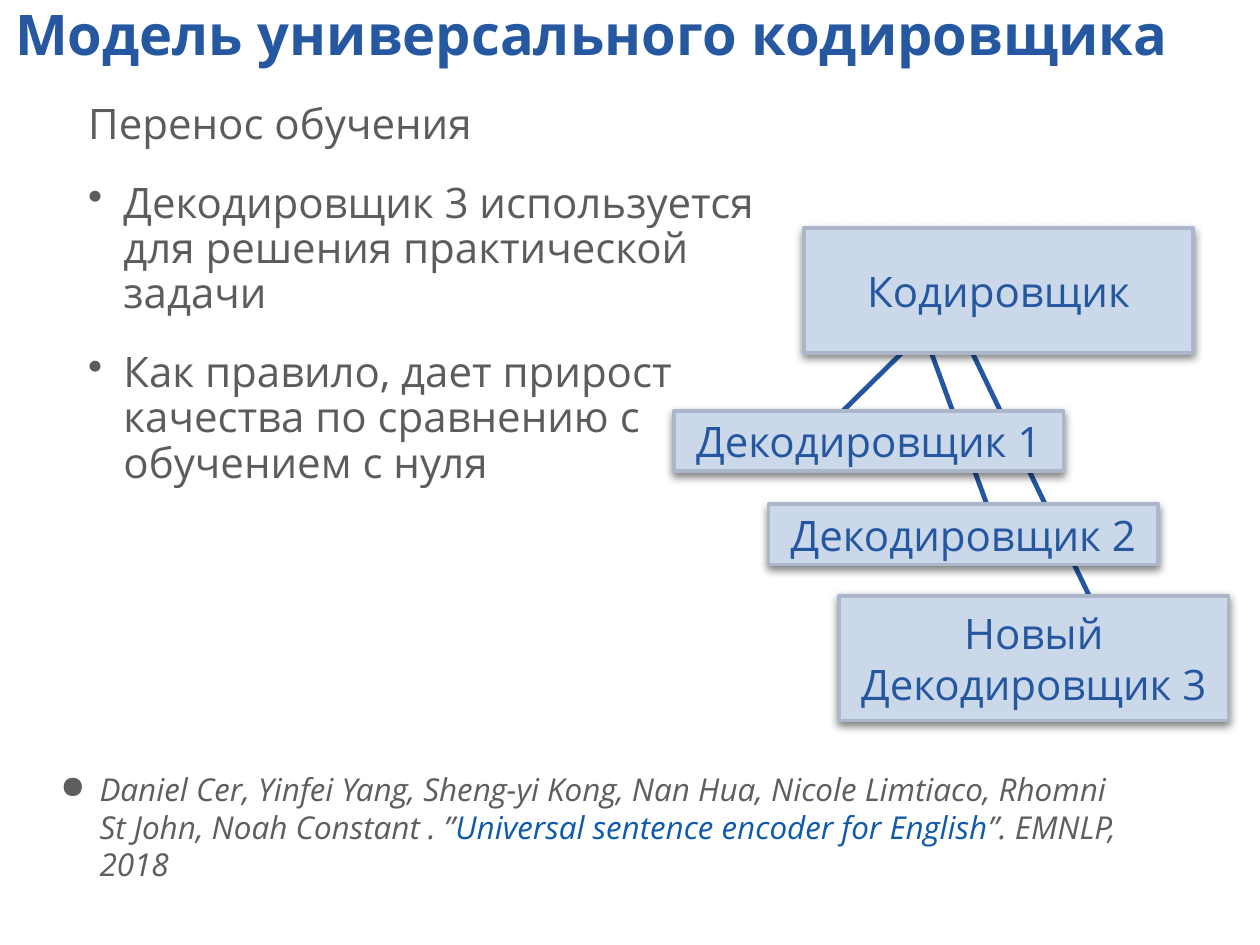
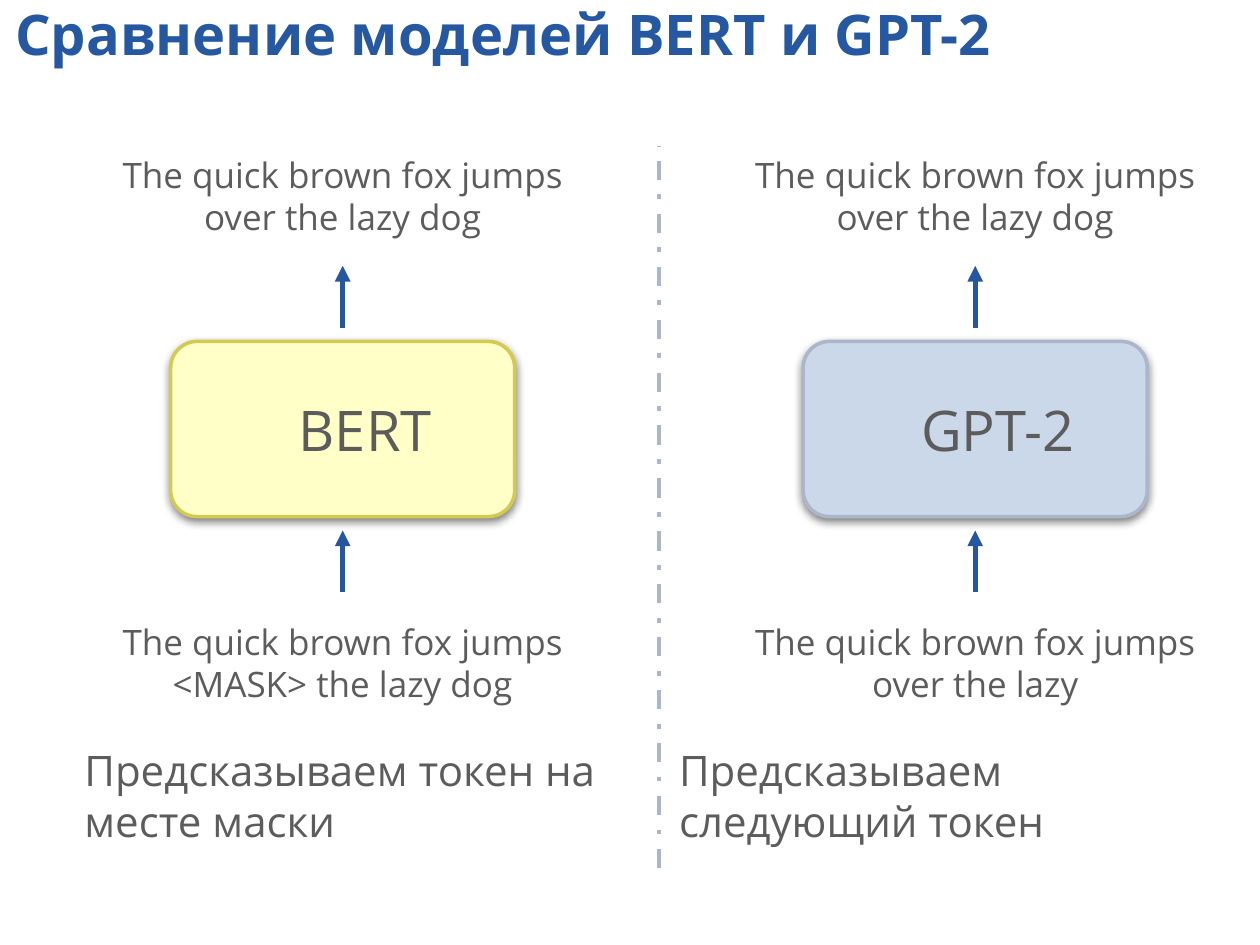
from lxml.etree import SubElement
from pptx import Presentation
from pptx.dml.color import RGBColor
from pptx.enum.dml import MSO_LINE_DASH_STYLE as DASH
from pptx.enum.shapes import MSO_CONNECTOR as CONNECTOR, MSO_SHAPE as SHAPE
from pptx.enum.text import MSO_ANCHOR as ANCHOR, PP_ALIGN as ALIGN
from pptx.oxml.ns import qn
from pptx.util import Inches, Pt

FONT = "Open Sans"
TITLE_BLUE, BLUE, LINK = "2558A1", "2557A1", "0F5AAA"
GREY, CITATION_GREY = "5C5C5C", "5E5E5E"
PALE_BLUE, BLUE_EDGE = "CBD8E9", "ABB6CA"
PALE_YELLOW, YELLOW_EDGE = "FFFFC7", "D2CB4F"

ENCODER_TITLE = "Модель универсального кодировщика"
TRANSFER_HEADING = "Перенос обучения"
TRANSFER_POINTS = [
    "Декодировщик 3 используется для решения практической задачи",
    "Как правило, дает прирост качества по сравнению с обучением с нуля",
]
CITATION = [
    ("Daniel Cer, Yinfei Yang, Sheng-yi Kong, Nan Hua, Nicole Limtiaco, "
     "Rhomni St John, Noah Constant . ”", CITATION_GREY),
    ("Universal sentence encoder for English", LINK),
    ("”. EMNLP, 2018", CITATION_GREY),
]
BLOCK_WIDTH = 3.09
BLOCKS = [
    ("Кодировщик", 6.38, 1.81, 0.99),
    ("Декодировщик 1", 5.35, 3.26, 0.48),
    ("Декодировщик 2", 6.1, 4, 0.48),
    ("Новый Декодировщик 3", 6.66, 4.73, 0.99),
]
BLOCK_LINKS = [
    ((8.78, 5.01), (7.65, 2.66)),
    ((6.62, 3.33), (7.22, 2.74)),
    ((7.93, 4.27), (7.37, 2.74)),
]

COMPARISON_TITLE = "Сравнение моделей BERT и GPT-2"
MODELS = [
    dict(name="BERT", center=2.72, name_left=2.34, note_left=0.64,
         fill=PALE_YELLOW, edge=YELLOW_EDGE,
         output="The quick brown fox jumps over the lazy dog",
         source="The quick brown fox jumps <MASK> the lazy dog",
         note="Предсказываем токен на месте маски"),
    dict(name="GPT-2", center=7.74, name_left=7.28, note_left=5.36,
         fill=PALE_BLUE, edge=BLUE_EDGE,
         output="The quick brown fox jumps over the lazy dog",
         source="The quick brown fox jumps over the lazy",
         note="Предсказываем следующий токен"),
]
MODEL_WIDTH, SENTENCE_WIDTH = 2.73, 3.97
ARROW_BOTTOMS, ARROW_LENGTH = (2.6, 4.7), 0.49


def color(value):
    return RGBColor.from_string(value)


def style(paragraph, size, ink, bold=False, italic=False):
    font = paragraph.font
    font.name, font.size, font.bold, font.italic = FONT, Pt(size), bold, italic
    font.color.rgb = color(ink)


def hang(paragraph, indent, symbol, ink):
    properties = paragraph._p.get_or_add_pPr()
    properties.set("marL", str(Inches(indent)))
    properties.set("indent", str(-Inches(indent)))
    bullet_color = SubElement(properties, qn("a:buClr"))
    SubElement(bullet_color, qn("a:srgbClr"), val=ink)
    SubElement(properties, qn("a:buChar"), char=symbol)


def prepare_frame(shape, margin=0.03, anchor=ANCHOR.MIDDLE):
    frame = shape.text_frame
    frame.word_wrap = True
    frame.vertical_anchor = anchor
    frame.margin_left = frame.margin_right = Inches(margin)
    frame.margin_top = frame.margin_bottom = Inches(margin)
    return frame


def add_box(slide, left, top, width, height, **options):
    box = slide.shapes.add_textbox(*map(Inches, (left, top, width, height)))
    return prepare_frame(box, **options)


def add_label(slide, text, bounds, size, align=ALIGN.LEFT):
    paragraph = add_box(slide, *bounds).paragraphs[0]
    paragraph.text = text
    paragraph.alignment = align
    style(paragraph, size, GREY)


def add_title(slide, text):
    frame = add_box(slide, -0.01, 0.01, 9.98, 0.6, margin=0.05, anchor=ANCHOR.TOP)
    paragraph = frame.paragraphs[0]
    paragraph.text = text
    paragraph._p.get_or_add_pPr().set("indent", str(Inches(0.08)))
    paragraph.line_spacing = 0.9
    style(paragraph, 32, TITLE_BLUE, bold=True)


def add_block(slide, kind, bounds, fill, edge):
    shape = slide.shapes.add_shape(kind, *map(Inches, bounds))
    shape.fill.solid()
    shape.fill.fore_color.rgb = color(fill)
    shape.line.color.rgb = color(edge)
    shape.line.width = Pt(2)
    shape.shadow.inherit = False
    effects = shape._element.spPr.find(qn("a:effectLst"))
    shadow = SubElement(effects, qn("a:outerShdw"), blurRad=str(Pt(5)),
                        dist=str(Pt(2)), dir="5400000", rotWithShape="0")
    shadow_color = SubElement(shadow, qn("a:srgbClr"), val="000000")
    SubElement(shadow_color, qn("a:alpha"), val="50000")
    return shape


def add_line(slide, start, end, ink=BLUE, width=2.75, dash=None, arrow=False):
    connector = slide.shapes.add_connector(
        CONNECTOR.STRAIGHT, *map(Inches, (*start, *end)))
    connector.line.color.rgb = color(ink)
    connector.line.width = Pt(width)
    if dash:
        connector.line.dash_style = dash
    if arrow:
        SubElement(connector.line._get_or_add_ln(), qn("a:tailEnd"), type="triangle")
    SubElement(connector._element.spPr, qn("a:effectLst"))


def build_encoder(slide):
    frame = add_box(slide, 0.67, 0.79, 5.7, 2.77, anchor=ANCHOR.TOP)
    heading = frame.paragraphs[0]
    heading.text = TRANSFER_HEADING
    for text in TRANSFER_POINTS:
        point = frame.add_paragraph()
        point.text = text
        hang(point, 0.28, "•", GREY)
        point.space_before = Pt(19)
    for paragraph in frame.paragraphs:
        paragraph.line_spacing = 0.9
        style(paragraph, 24, GREY)

    add_title(slide, ENCODER_TITLE)

    citation = add_box(slide, 0.45, 6.08, 8.45, 0.96).paragraphs[0]
    hang(citation, 0.31, "●", CITATION_GREY)
    style(citation, 18, CITATION_GREY, italic=True)
    for text, ink in CITATION:
        run = citation.add_run()
        run.text = text
        run.font.color.rgb = color(ink)

    for start, end in BLOCK_LINKS:
        add_line(slide, start, end)
    for text, left, top, height in BLOCKS:
        block = add_block(slide, SHAPE.RECTANGLE, (left, top, BLOCK_WIDTH, height),
                          PALE_BLUE, BLUE_EDGE)
        paragraph = prepare_frame(block).paragraphs[0]
        paragraph.text = text
        paragraph.alignment = ALIGN.CENTER
        style(paragraph, 24, BLUE)


def build_comparison(slide):
    add_title(slide, COMPARISON_TITLE)
    add_line(slide, (5.23, 6.89), (5.23, 1.16), BLUE_EDGE, dash=DASH.DASH_DOT)
    for model in MODELS:
        center = model["center"]
        block = add_block(slide, SHAPE.ROUNDED_RECTANGLE,
                          (center - MODEL_WIDTH / 2, 2.71, MODEL_WIDTH, 1.39),
                          model["fill"], model["edge"])
        block.adjustments[0] = 0.15
        add_label(slide, model["name"], (model["name_left"], 3.11, 1.35, 0.59), 32)
        for bottom in ARROW_BOTTOMS:
            add_line(slide, (center, bottom), (center, bottom - ARROW_LENGTH),
                     width=3, arrow=True)
        for key, top in (("output", 1.19), ("source", 4.89)):
            bounds = (center - SENTENCE_WIDTH / 2, top, SENTENCE_WIDTH, 0.73)
            add_label(slide, model[key], bounds, 20, ALIGN.CENTER)
        add_label(slide, model["note"], (model["note_left"], 5.88, 4.16, 0.86), 24)


def main():
    presentation = Presentation()
    presentation.slide_width, presentation.slide_height = Inches(10), Inches(7.5)
    blank = presentation.slide_layouts[6]
    for build in (build_encoder, build_comparison):
        build(presentation.slides.add_slide(blank))
    presentation.save("out.pptx")


if __name__ == "__main__":
    main()
